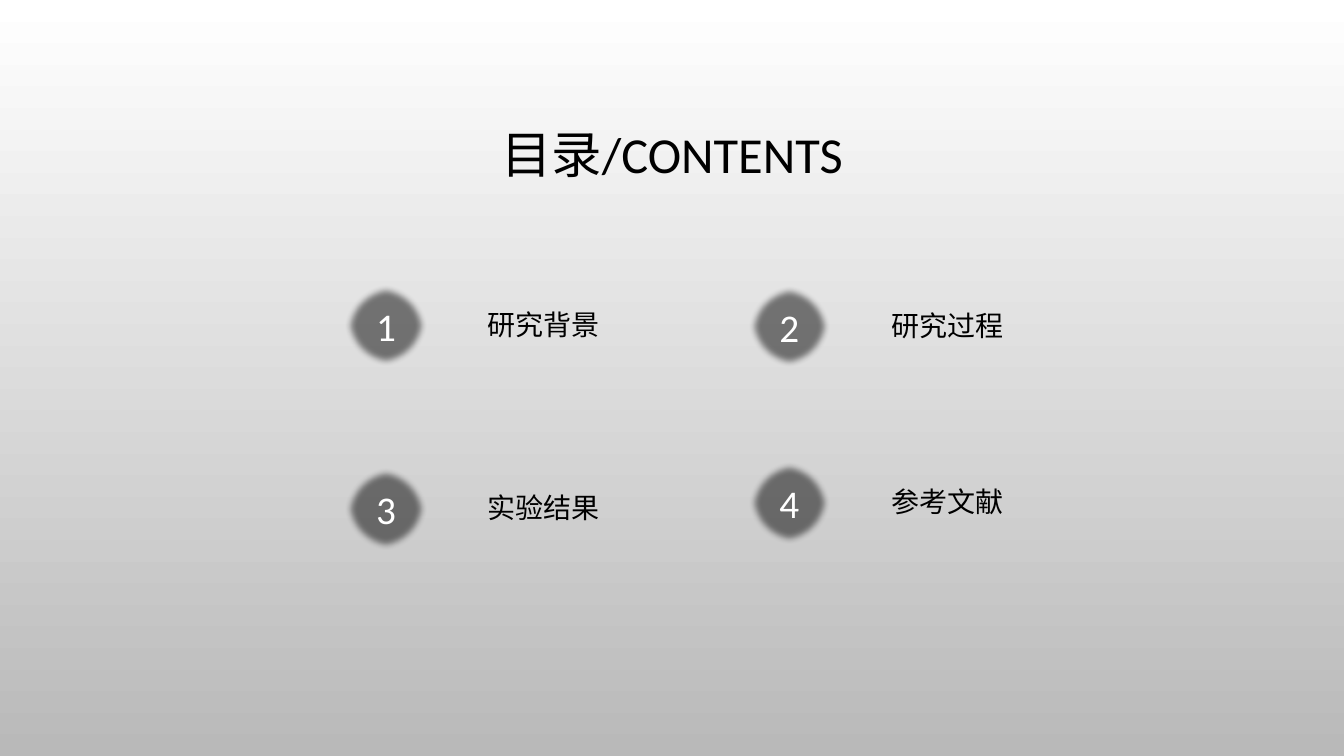
import pptx
import pptx.dml.color
import pptx.enum.shapes
import pptx.enum.text
import pptx.oxml.ns
import pptx.util
from lxml import etree
from pptx.util import Inches

COLORS = {"text": "000000", "badge": "000000", "number": "FFFFFF",
          "bg_top": "FFFFFF", "bg_bottom": "B9B9B9"}
HEAD_FONT, LABEL_FONT = "Calibri", "Roboto"
CENTER = pptx.enum.text.PP_ALIGN.CENTER
MIDDLE = pptx.enum.text.MSO_ANCHOR.MIDDLE


def rgb(name):
    return pptx.dml.color.RGBColor.from_string(COLORS[name])


def qn(tag):
    return pptx.oxml.ns.qn(tag)


class Deck:
    def __init__(self, prs):
        self.s = prs.slides.add_slide(prs.slide_layouts[5])

    def background(self):
        fill = self.s.background.fill
        fill.gradient()
        fill.gradient_angle = 270
        for stop, name in zip(fill.gradient_stops, ("bg_top", "bg_bottom")):
            stop.color.rgb = rgb(name)
        fill.gradient_stops[0].position = 0
        fill.gradient_stops[1].position = 1

    def add_text(self, sp, text, size, font, color, align=None):
        p = sp.text_frame.paragraphs[0]
        p.alignment = align
        r = p.add_run()
        r.text = text
        r.font.size = pptx.util.Pt(size)
        r.font.name = font
        r.font.color.rgb = rgb(color)
        return p

    def title(self, text, left, top, width, height):
        sp = self.s.shapes.title
        sp.left, sp.top = Inches(left), Inches(top)
        sp.width, sp.height = Inches(width), Inches(height)
        sp.text_frame.vertical_anchor = MIDDLE
        p = self.add_text(sp, text, 36, HEAD_FONT, "text", CENTER)
        p.line_spacing = 0.9

    def badge(self, number, left, top, size=0.84):
        sp = self.s.shapes.add_shape(
            pptx.enum.shapes.MSO_SHAPE.OVAL,
            Inches(left), Inches(top), Inches(size), Inches(size))
        sp.shadow.inherit = False
        sp.line.fill.background()
        sp.fill.solid()
        sp.fill.fore_color.rgb = rgb("badge")
        # Half transparent fill with a soft edge
        sppr = sp._element.spPr
        color = sppr.find(qn("a:solidFill")).find(qn("a:srgbClr"))
        etree.SubElement(color, qn("a:alpha"), val="50000")
        etree.SubElement(sppr.find(qn("a:effectLst")), qn("a:softEdge"),
                         rad=str(pptx.util.Pt(5)))
        sp.text_frame.vertical_anchor = MIDDLE
        self.add_text(sp, number, 28, HEAD_FONT, "number", CENTER)

    def label(self, text, left, top, width=1.35, height=0.44):
        sp = self.s.shapes.add_textbox(
            Inches(left), Inches(top), Inches(width), Inches(height))
        tf = sp.text_frame
        tf.word_wrap = True
        tf.auto_size = pptx.enum.text.MSO_AUTO_SIZE.SHAPE_TO_FIT_TEXT
        self.add_text(sp, text, 20, LABEL_FONT, "text")


def main():
    prs = pptx.Presentation()
    prs.slide_width, prs.slide_height = Inches(13.33), Inches(7.5)
    deck = Deck(prs)
    deck.background()
    deck.title("目录/CONTENTS", 1, 0.68, 11.33, 1.75)

    # Numbered topics in two columns, each with its own top
    topics = [("研究背景", 2.81), ("研究过程", 2.82),
              ("实验结果", 4.63), ("参考文献", 4.57)]
    for i, (text, top) in enumerate(topics):
        left = 3.41 + 4 * (i % 2)
        deck.badge(str(i + 1), left, top)
        deck.label(text, left + 1.33, top + 0.19)

    prs.save("out.pptx")


if __name__ == "__main__":
    main()
